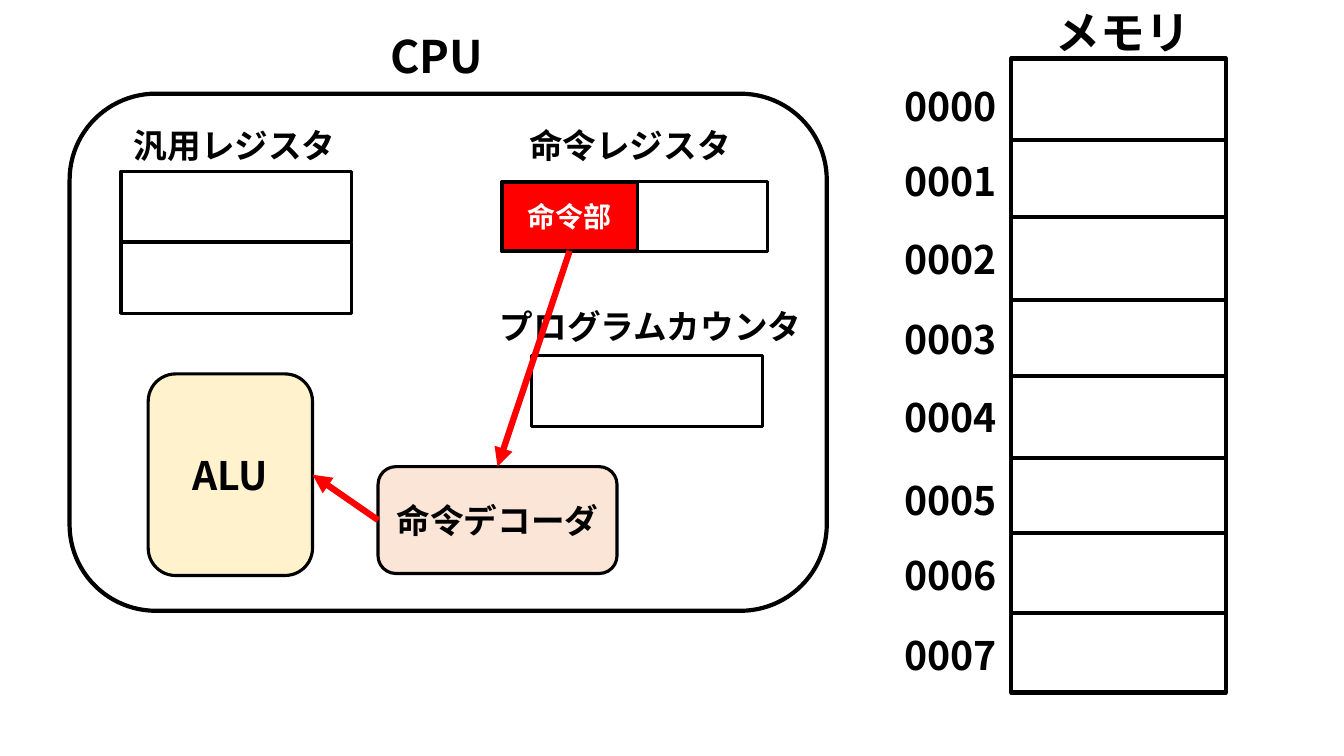
from lxml.etree import SubElement
from pptx import Presentation
from pptx.dml.color import RGBColor
from pptx.enum.shapes import MSO_CONNECTOR, MSO_SHAPE
from pptx.enum.text import MSO_ANCHOR, PP_ALIGN
from pptx.oxml.ns import qn
from pptx.util import Inches, Pt

FONT = "Noto Sans CJK JP"
COLORS = {
    "black": "000000",
    "white": "FFFFFF",
    "red": "FF0000",
    "alu": "FFF2CC",
    "decoder": "FBE5D6",
}
BOTTOM, TOP, LEFT, RIGHT = 2, 0, 1, 3  # connection sites of a rectangle
MEMORY_LEFT, MEMORY_WIDTH = 10.03, 2.13
MEMORY_EDGES = [0.58, 1.39, 2.15, 2.98, 3.73, 4.54, 5.29, 6.08, 6.87]
ADDRESS_TOPS = [0.77, 1.51, 2.29, 3.08, 3.85, 4.68, 5.42, 6.21]


def color(name):
    """Return the named colour."""
    return RGBColor.from_string(COLORS[name])


def write(text_frame, text, size, color_name="black"):
    """Add one bold run to the first paragraph and return the paragraph."""
    paragraph = text_frame.paragraphs[0]
    run = paragraph.add_run()
    run.text = text
    run.font.size = Pt(size)
    run.font.bold = True
    run.font.color.rgb = color(color_name)
    run.font.name = FONT
    SubElement(run.font._element, qn("a:ea"), typeface=FONT)
    return paragraph


def add_label(slide, text, left, top, width, height, size):
    """Add a left-aligned text label."""
    shape = slide.shapes.add_textbox(
        Inches(left), Inches(top), Inches(width), Inches(height))
    shape.text_frame.word_wrap = True
    write(shape.text_frame, text, size)


def add_box(slide, left, top, width, height, fill="white", line=2.25,
            kind=MSO_SHAPE.RECTANGLE, text=None, size=24, text_color="black"):
    """Add a black-outlined box, with centred text if any is given."""
    shape = slide.shapes.add_shape(
        kind, Inches(left), Inches(top), Inches(width), Inches(height))
    shape.shadow.inherit = False
    shape.fill.solid()
    shape.fill.fore_color.rgb = color(fill)
    shape.line.color.rgb = color("black")
    shape.line.width = Pt(line)
    if text:
        shape.text_frame.vertical_anchor = MSO_ANCHOR.MIDDLE
        paragraph = write(shape.text_frame, text, size, text_color)
        paragraph.alignment = PP_ALIGN.CENTER
    return shape


def add_line(slide, start, end, color_name="black", width=3):
    """Add a straight line between two points."""
    connector = slide.shapes.add_connector(
        MSO_CONNECTOR.STRAIGHT, *(Inches(value) for value in start + end))
    connector.line.color.rgb = color(color_name)
    connector.line.width = Pt(width)
    SubElement(connector._element.spPr, qn("a:effectLst"))
    return connector


def add_arrow(slide, source, source_site, target, target_site):
    """Add a red arrow glued to two boxes."""
    connector = add_line(slide, (0, 0), (1, 1), "red", 4.5)
    connector.begin_connect(source, source_site)
    connector.end_connect(target, target_site)
    SubElement(connector.line._get_or_add_ln(), qn("a:tailEnd"),
               type="triangle")


def add_memory(slide):
    """Draw the memory column with its row lines and addresses."""
    first, last = MEMORY_EDGES[0], MEMORY_EDGES[-1]
    add_box(slide, MEMORY_LEFT, first, MEMORY_WIDTH, last - first, line=3)
    for edge in MEMORY_EDGES[1:-1]:
        add_line(slide, (MEMORY_LEFT, edge),
                 (MEMORY_LEFT + MEMORY_WIDTH, edge))
    for address, top in enumerate(ADDRESS_TOPS):
        add_label(slide, f"{address:04d}", 8.87, top, 1.17, 0.57, 28)
    add_label(slide, "メモリ", 10.37, 0, 1.67, 0.64, 32)


def add_cpu(slide):
    """Draw the CPU with its registers, decoder and ALU."""
    rounded = MSO_SHAPE.ROUNDED_RECTANGLE
    add_box(slide, 0.69, 0.93, 7.51, 5.13, line=3, kind=rounded)
    add_label(slide, "CPU", 3.77, 0.24, 1.35, 0.64, 32)

    add_label(slide, "汎用レジスタ", 1.23, 1.19, 3.23, 0.5, 24)
    for top in (1.7, 2.41):
        add_box(slide, 1.2, top, 2.29, 0.7)

    add_label(slide, "命令レジスタ", 5.15, 1.19, 2.64, 0.5, 24)
    add_box(slide, 4.98, 1.8, 2.63, 0.7)
    instruction = add_box(slide, 4.98, 1.81, 1.34, 0.68, fill="red",
                          text="命令部", size=20, text_color="white")

    add_label(slide, "プログラムカウンタ", 4.86, 2.99, 3.23, 0.5, 24)
    add_box(slide, 5.27, 3.53, 2.29, 0.7)

    alu = add_box(slide, 1.47, 3.71, 1.63, 2, fill="alu", kind=rounded,
                  text="ALU", size=28)
    decoder = add_box(slide, 3.75, 4.63, 2.37, 1.06, fill="decoder",
                      kind=rounded, text="命令デコーダ")
    add_arrow(slide, instruction, BOTTOM, decoder, TOP)
    add_arrow(slide, decoder, LEFT, alu, RIGHT)


def main():
    """Build the slide and save it."""
    presentation = Presentation()
    presentation.slide_width = Inches(13.33)
    presentation.slide_height = Inches(7.5)
    slide = presentation.slides.add_slide(presentation.slide_layouts[6])
    add_cpu(slide)
    add_memory(slide)
    presentation.save("out.pptx")


main()
